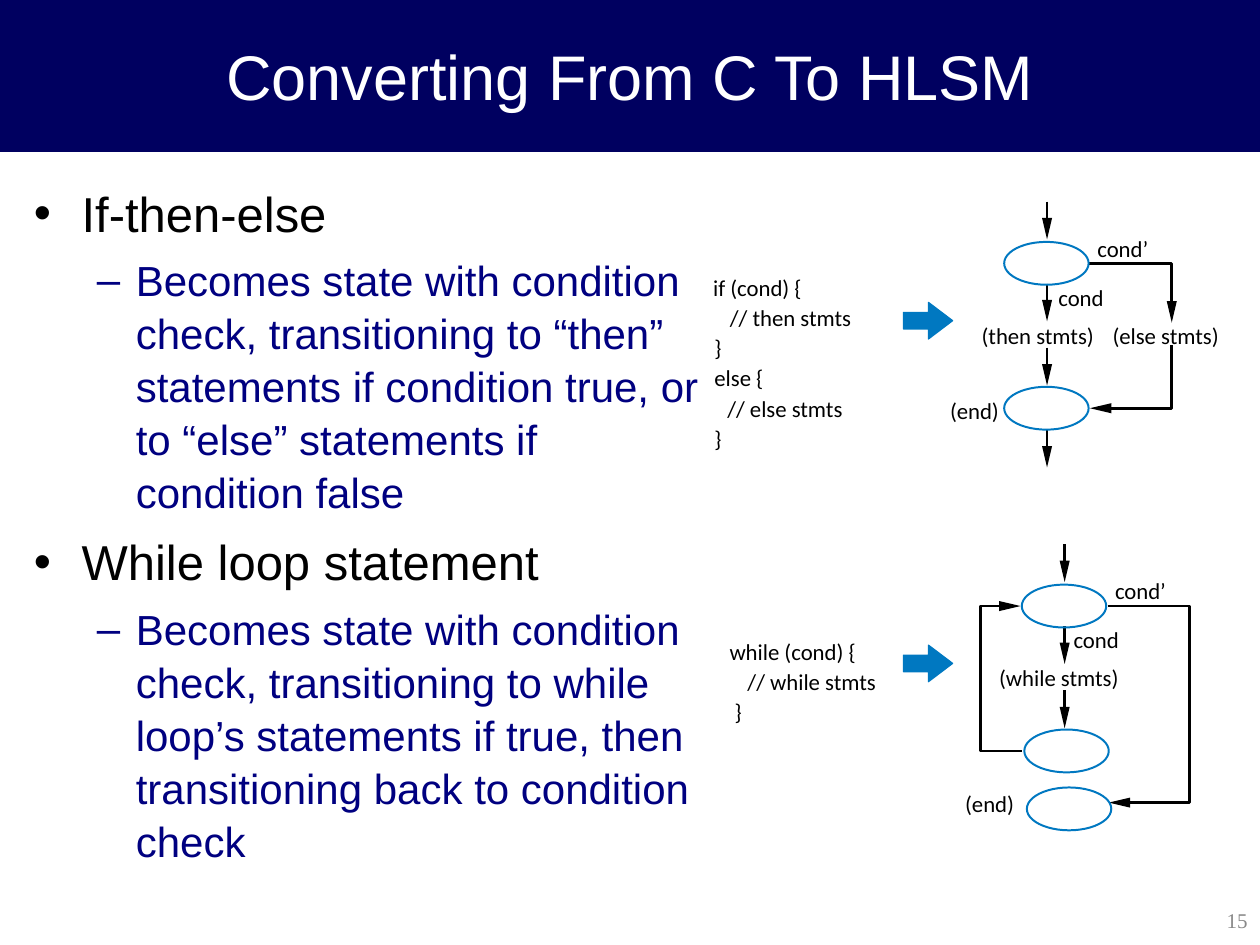
"""Build the slide on converting C statements to HLSM states."""
from lxml import etree
from pptx import Presentation
from pptx.dml.color import RGBColor
from pptx.enum import shapes, text
from pptx.oxml import ns
from pptx.util import Inches, Pt

NAVY, BLACK, BLUE = "000060", "000000", "0078C1"
TITLE = "Converting From C To HLSM"
BODY = [
    (0, "If-then-else"),
    (1, "Becomes state with condition check, transitioning to “then” statements "
        "if condition true, or to “else” statements if condition false"),
    (0, "While loop statement"),
    (1, "Becomes state with condition check, transitioning to while loop’s "
        "statements if true, then transitioning back to condition check"),
]
LEVELS = [
    dict(size=28, color=BLACK, bullet="•", left=0.38, hang=0.38, before=7),
    dict(size=24, color="000080", bullet="–", left=0.81, hang=0.31, before=6),
]
CODE_PITCH = 0.24
CODE = [
    (2.17, [(5.66, 0.8, "if (cond) {"), (5.63, 1.28, "    // then stmts"),
            (5.67, 0.07, "}"), (5.67, 0.45, "else {"),
            (5.65, 1.18, "   // else stmts"), (5.67, 0.07, "}")]),
    (5.06, [(5.79, 1.14, "while (cond) {"), (5.77, 1.33, "    // while stmts"),
            (5.83, 0.07, "}")]),
]
LABELS = [
    (8.71, 1.86, 0.47, "cond’"), (8.4, 2.25, 0.42, "cond"),
    (7.54, 3.15, 0.43, "(end)"), (7.79, 2.55, 1.02, "(then stmts)"),
    (8.83, 2.55, 0.96, "(else stmts)"),
    (8.85, 4.58, 0.47, "cond’"), (8.52, 4.97, 0.42, "cond"),
    (7.93, 5.27, 1.07, "(while stmts)"), (7.66, 6.27, 0.43, "(end)"),
]
STATES = [(7.97, 1.92), (7.97, 3.07), (8.11, 4.64), (8.13, 5.79), (8.15, 6.25)]
BLOCK_ARROWS = [(7.17, 2.4), (7.17, 5.12)]
STEMS = [(8.31, [1.6, 2.25, 2.76, 3.41]), (8.45, [4.32, 4.97, 5.48])]
STEM_LENGTH = 0.3
ELBOWS = [
    [(8.64, 2.09), (9.3, 2.09), (9.3, 2.56)],
    [(9.3, 2.74), (9.3, 3.24), (8.65, 3.24)],
    [(8.11, 5.96), (7.78, 5.96), (7.78, 4.81), (8.1, 4.81)],
    [(8.79, 4.81), (9.44, 4.81), (9.44, 6.37), (8.8, 6.37)],
]
HEAD_LENGTH, HEAD_HALF, LINE_GAP = 0.17, 0.04, 0.11


def rgb(value):
    return RGBColor.from_string(value)


def style(sp, fill=None, line=None, width=0.75):
    sp.shadow.inherit = False
    if fill:
        sp.fill.solid()
        sp.fill.fore_color.rgb = rgb(fill)
    else:
        sp.fill.background()
    if line:
        sp.line.color.rgb = rgb(line)
        sp.line.width = Pt(width)
    else:
        sp.line.fill.background()


def set_font(p, name, size, color):
    for r in p.runs:
        r.font.name, r.font.size = name, Pt(size)
        r.font.color.rgb = rgb(color)


def add_preset(s, kind, *box):
    return s.shapes.add_shape(kind, *map(Inches, box))


def add_label(s, x, y, width, words):
    tf = s.shapes.add_textbox(*map(Inches, (x, y, width, 0.22))).text_frame
    tf.margin_left = tf.margin_right = tf.margin_top = tf.margin_bottom = 0
    tf.word_wrap = False
    tf.auto_size = text.MSO_AUTO_SIZE.SHAPE_TO_FIT_TEXT
    tf.text = words
    set_font(tf.paragraphs[0], "Calibri", 13, BLACK)


def add_outline(s, points, close):
    points = [(Inches(x), Inches(y)) for x, y in points]
    builder = s.shapes.build_freeform(*points[0])
    builder.add_line_segments(points[1:], close=close)
    return builder.convert_to_shape()


def add_arrow(s, points):
    (px, py), (x, y) = points[-2:]
    length = abs(x - px) + abs(y - py)
    dx, dy = (x - px) / length, (y - py) / length
    route = points[:-1] + [(x - dx * LINE_GAP, y - dy * LINE_GAP)]
    if len(route) == 2:
        line = s.shapes.add_connector(
            shapes.MSO_CONNECTOR.STRAIGHT, *(Inches(v) for pt in route for v in pt))
        line.line.color.rgb = rgb(BLACK)
        line.line.width = Pt(1.5)
        etree.SubElement(line._element.spPr, ns.qn("a:effectLst"))
    else:
        style(add_outline(s, route, False), line=BLACK, width=1.5)
    bx, by = x - dx * HEAD_LENGTH, y - dy * HEAD_LENGTH
    wx, wy = dy * HEAD_HALF, dx * HEAD_HALF
    head = [(x, y), (bx + wx, by + wy), (bx - wx, by - wy)]
    style(add_outline(s, head, True), fill=BLACK)


def add_title(s):
    sp = add_preset(s, shapes.MSO_SHAPE.RECTANGLE, 0, 0, 10, 1.2)
    style(sp, NAVY, NAVY)
    tf = sp.text_frame
    tf.text = TITLE
    tf.vertical_anchor = text.MSO_ANCHOR.MIDDLE
    tf.paragraphs[0].alignment = text.PP_ALIGN.CENTER
    set_font(tf.paragraphs[0], "Arial", 36, "FFFFFF")


def add_body(s):
    tf = s.shapes.add_textbox(*map(Inches, (0.17, 1.38, 5.56, 5.72))).text_frame
    tf.word_wrap = True
    for i, (level, words) in enumerate(BODY):
        look = LEVELS[level]
        p = tf.add_paragraph() if i else tf.paragraphs[0]
        p.text, p.level, p.line_spacing = words, level, 1.05
        p.space_before = Pt(look["before"] if i else 0)
        pPr = p._p.get_or_add_pPr()
        pPr.set("marL", str(Inches(look["left"])))
        pPr.set("indent", str(-Inches(look["hang"])))
        etree.SubElement(pPr, ns.qn("a:buFont"), typeface="Arial")
        etree.SubElement(pPr, ns.qn("a:buChar"), char=look["bullet"])
        set_font(p, "Arial", look["size"], look["color"])


def add_page_number(s):
    tf = s.shapes.add_textbox(*map(Inches, (7.88, 7.1, 2.12, 0.4))).text_frame
    tf.word_wrap = True
    tf.vertical_anchor = text.MSO_ANCHOR.MIDDLE
    tf.text = "15"
    tf.paragraphs[0].alignment = text.PP_ALIGN.RIGHT
    set_font(tf.paragraphs[0], "Times New Roman", 12, "898989")


def main():
    prs = Presentation()
    prs.slide_width, prs.slide_height = Inches(10), Inches(7.5)
    s = prs.slides.add_slide(prs.slide_layouts[6])
    add_title(s)
    add_body(s)
    add_page_number(s)
    for top, lines in CODE:
        for i, (x, width, words) in enumerate(lines):
            add_label(s, x, top + i * CODE_PITCH, width, words)
    for x, tops in STEMS:
        for top in tops:
            add_arrow(s, [(x, top), (x, top + STEM_LENGTH)])
    for points in ELBOWS:
        add_arrow(s, points)
    for label in LABELS:
        add_label(s, *label)
    for x, y in STATES:
        sp = add_preset(s, shapes.MSO_SHAPE.OVAL, x, y, 0.67, 0.34)
        style(sp, line=BLUE, width=1.13)
    for x, y in BLOCK_ARROWS:
        sp = add_preset(s, shapes.MSO_SHAPE.RIGHT_ARROW, x, y, 0.39, 0.29)
        sp.adjustments[0], sp.adjustments[1] = 0.45, 0.66
        style(sp, BLUE, BLUE)
    prs.save("out.pptx")


if __name__ == "__main__":
    main()
